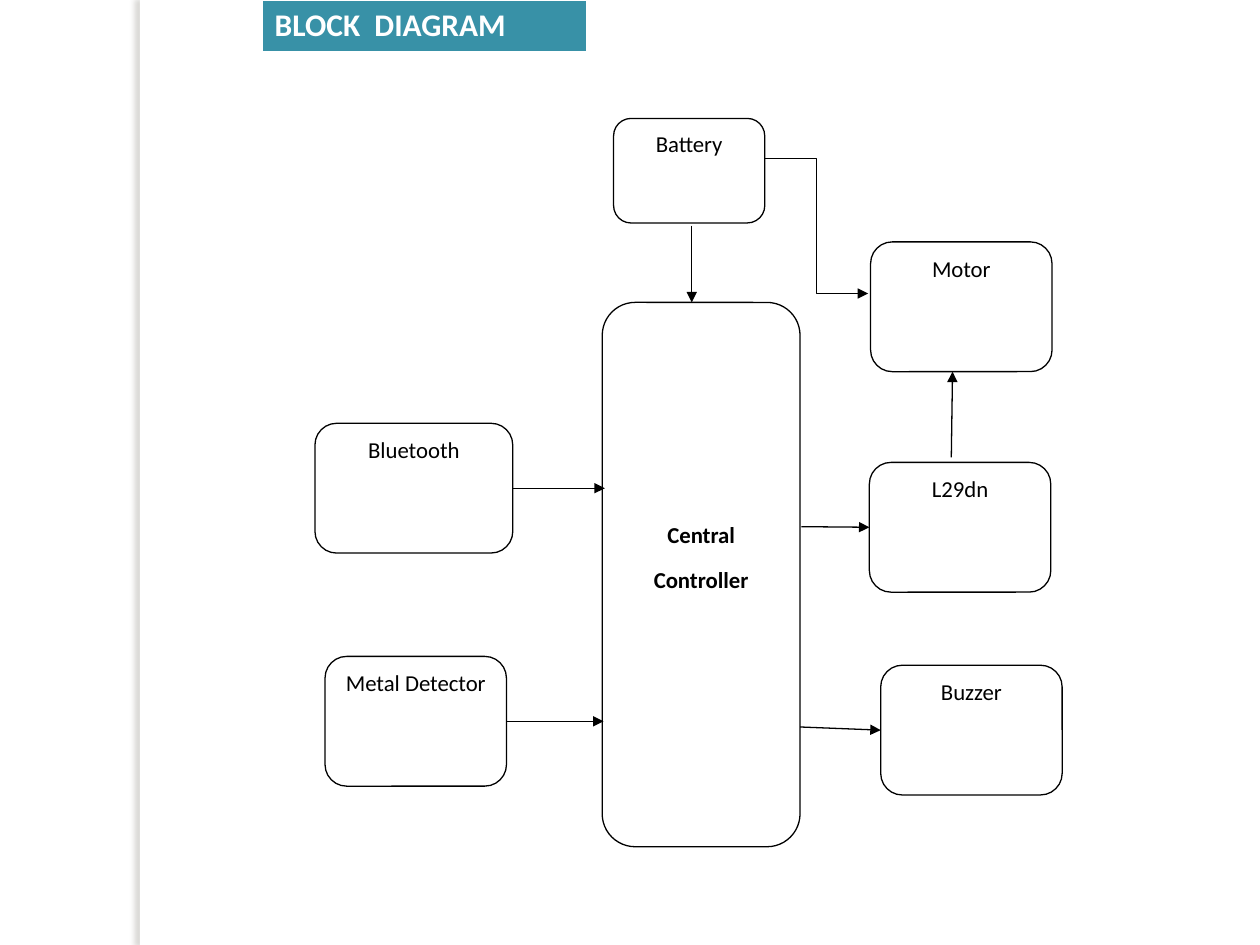
from lxml import etree
from pptx import Presentation
from pptx.dml.color import RGBColor
from pptx.enum.shapes import MSO_CONNECTOR, MSO_SHAPE
from pptx.enum.text import MSO_ANCHOR, PP_ALIGN
from pptx.oxml import parse_xml
from pptx.oxml.ns import nsdecls, qn
from pptx.util import Inches, Pt

RECTANGLE, ROUNDED = MSO_SHAPE.RECTANGLE, MSO_SHAPE.ROUNDED_RECTANGLE
STRAIGHT, ELBOW = MSO_CONNECTOR.STRAIGHT, MSO_CONNECTOR.ELBOW
TOP, MIDDLE, CENTER = MSO_ANCHOR.TOP, MSO_ANCHOR.MIDDLE, PP_ALIGN.CENTER
LEFT_SIDE, RIGHT_SIDE = 1, 3
FONT = "Calibri"
CONTROLLER = "Central\nController"
COLORS = {"white": "FFFFFF", "black": "000000", "teal": "3891A7", "shadow": "736F63"}
RGB = {name: RGBColor.from_string(value) for name, value in COLORS.items()}

deck = Presentation()
deck.slide_width, deck.slide_height = Inches(10), Inches(7.5)
column, row = deck.slide_width / 100, deck.slide_height / 75
slide = deck.slides.add_slide(deck.slide_layouts[6])


def grid(*lengths):
    return [int(length * unit) for length, unit in zip(lengths, (column, row) * 2)]


def style_text(paragraph, size, color, bold):
    for span in paragraph.runs:
        span.font.name, span.font.size, span.font.bold = FONT, Pt(size), bold
        span.font.color.rgb = RGB[color]


side_bar = slide.shapes.add_shape(RECTANGLE, *grid(11.1, 0, 0.8, 75))
side_bar.fill.solid()
side_bar.fill.fore_color.rgb = RGB["white"]
side_bar.line.fill.background()
side_bar._element.spPr.append(parse_xml(
    f'<a:effectLst {nsdecls("a")}><a:outerShdw blurRad="{Pt(3)}" dist="{Pt(3)}" dir="10800000">'
    f'<a:srgbClr val="{COLORS["shadow"]}"><a:alpha val="25000"/></a:srgbClr>'
    '</a:outerShdw></a:effectLst>'))

heading = slide.shapes.add_table(1, 1, *grid(20.8, 0, 25.8, 4.2)).table
heading_cell = heading.cell(0, 0)
heading_cell.text = "BLOCK  DIAGRAM"
style_text(heading_cell.text_frame.paragraphs[0], 18, "white", True)
heading_cell.fill.solid()
heading_cell.fill.fore_color.rgb = RGB["teal"]
cell_properties = heading_cell._tc.get_or_add_tcPr()
for order, (edge, width) in enumerate([("L", 1), ("R", 1), ("T", 1), ("B", 3)]):
    cell_properties.insert(order, parse_xml(
        f'<a:ln{edge} {nsdecls("a")} w="{Pt(width)}"><a:solidFill>'
        f'<a:srgbClr val="{COLORS["white"]}"/></a:solidFill></a:ln{edge}>'))

BLOCKS = {
    CONTROLLER: (47.8, 24, 15.7, 43.2),
    "Battery": (48.7, 9.4, 12, 8.3),
    "Bluetooth": (25, 33.6, 15.7, 10.3),
    "L29dn": (69, 36.7, 14.4, 10.3),
    "Motor": (69.1, 19.2, 14.4, 10.3),
    "Metal Detector": (25.8, 52.1, 14.4, 10.3),
    "Buzzer": (69.9, 52.8, 14.4, 10.3),
}
boxes = {}
for label, place in BLOCKS.items():
    is_controller = label == CONTROLLER
    box = boxes[label] = slide.shapes.add_shape(ROUNDED, *grid(*place))
    box.shadow.inherit = False
    box.fill.solid()
    box.fill.fore_color.rgb = RGB["white"]
    box.line.color.rgb = RGB["black"]
    box.line.width = Pt(0.75)
    frame = box.text_frame
    frame.word_wrap = True
    frame.vertical_anchor = MIDDLE if is_controller else TOP
    if is_controller:
        frame.margin_bottom = Inches(0.33)
    frame.text = label
    for para in frame.paragraphs:
        para.alignment = CENTER
        para.space_after = Pt(10)
        style_text(para, 13, "black", is_controller)

ARROWS = [
    (STRAIGHT, (54.9, 17.9, 54.9, 24), None, None),
    (STRAIGHT, (40.7, 38.75, 48, 38.75), "Bluetooth", None),
    (ELBOW, (60.7, 12.6, 68.9, 23.3), None, None),
    (STRAIGHT, (75.5, 36.3, 75.6, 29.5), None, None),
    (STRAIGHT, (63.6, 41.8, 69, 41.85), None, "L29dn"),
    (STRAIGHT, (40.2, 57.25, 47.9, 57.25), "Metal Detector", None),
    (STRAIGHT, (63.5, 57.7, 69.9, 57.95), None, "Buzzer"),
]
for kind, ends, source, target in ARROWS:
    arrow = slide.shapes.add_connector(kind, *grid(*ends))
    if source:
        arrow.begin_connect(boxes[source], RIGHT_SIDE)
    if target:
        arrow.end_connect(boxes[target], LEFT_SIDE)
    arrow.line.color.rgb = RGB["black"]
    arrow.line.width = Pt(0.75)
    etree.SubElement(arrow.line._get_or_add_ln(), qn("a:tailEnd"), type="triangle")
    etree.SubElement(arrow._element.spPr, qn("a:effectLst"))

deck.save("out.pptx")
